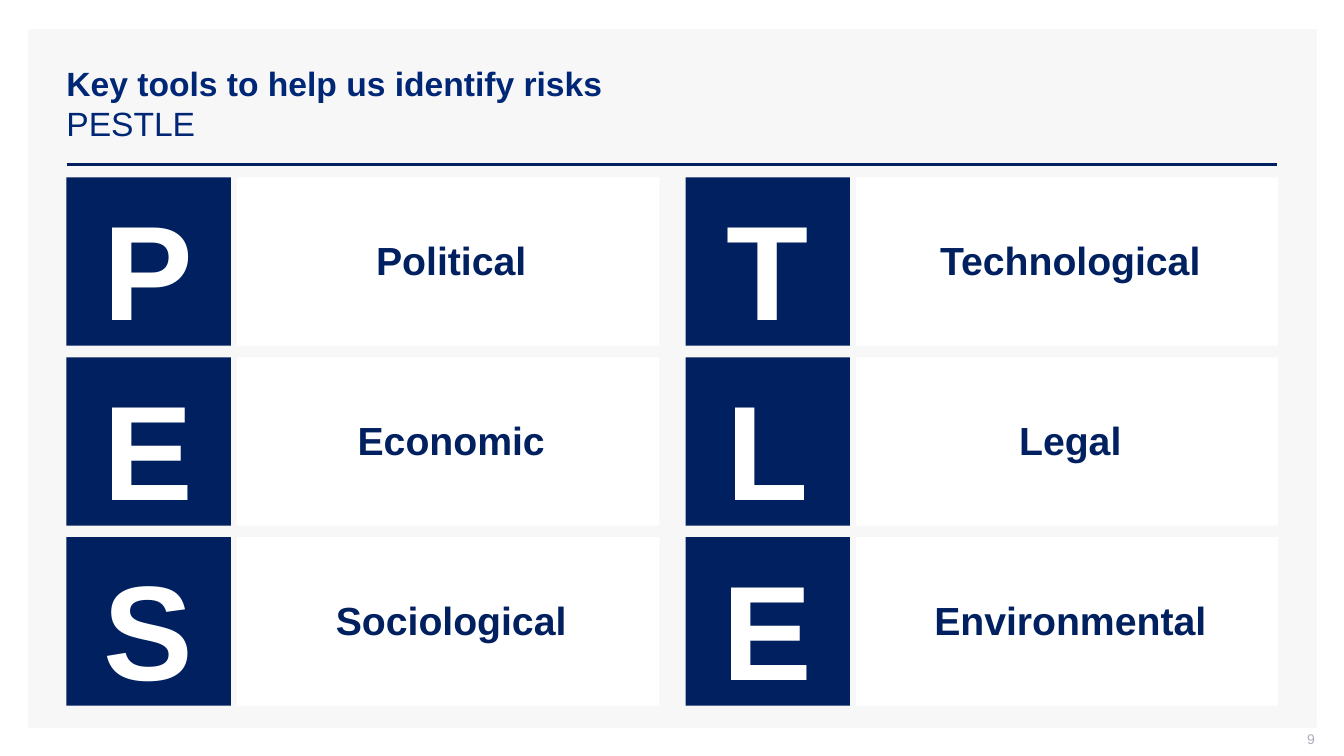
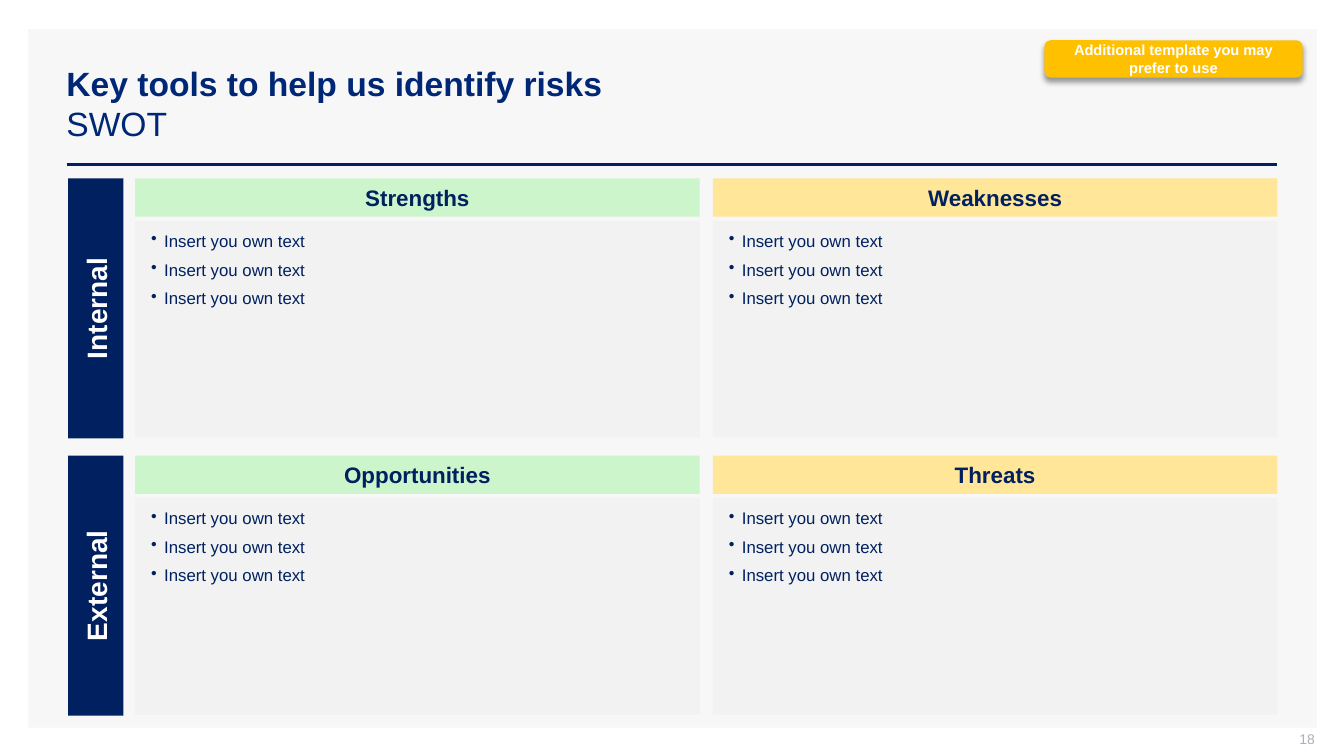
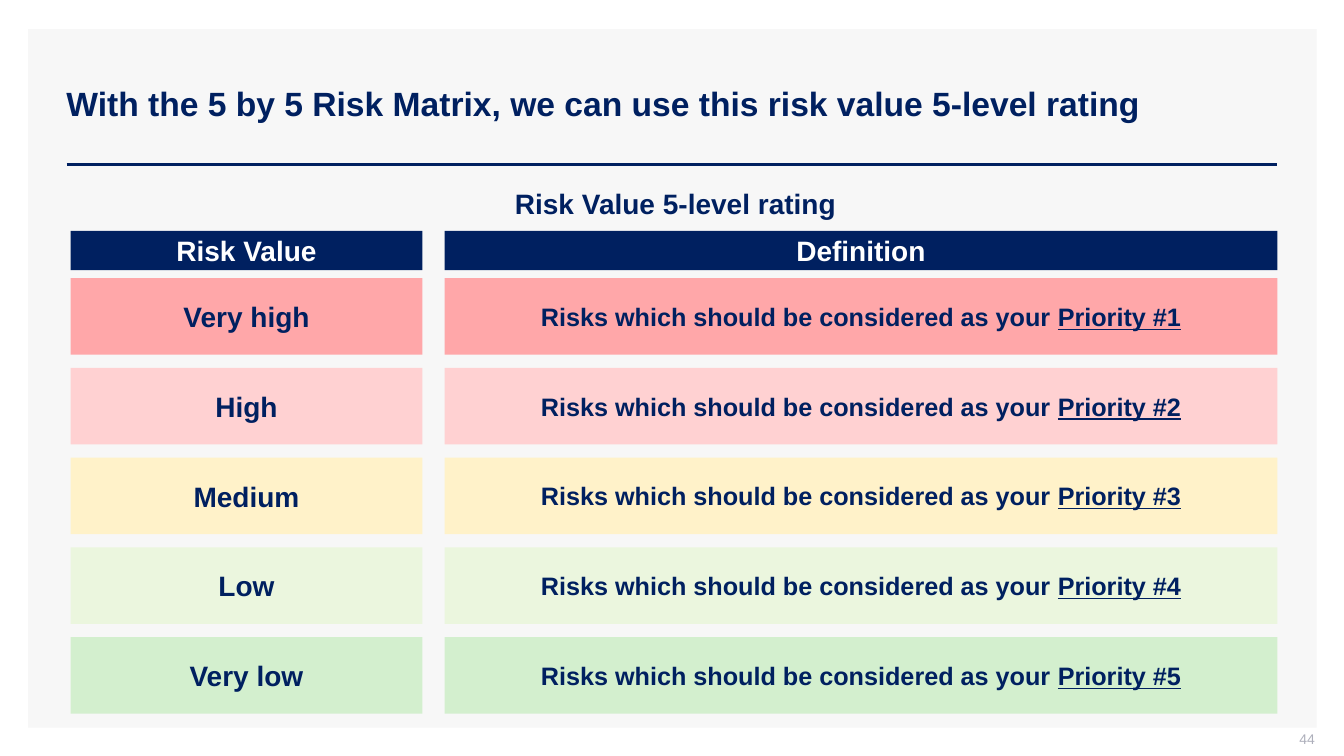
"""Build three risk identification slides: PESTLE, SWOT and a 5-level risk rating."""
from dataclasses import dataclass

from lxml import etree
from pptx import Presentation
from pptx.dml.color import RGBColor
from pptx.enum.shapes import MSO_CONNECTOR, MSO_SHAPE
from pptx.enum.text import MSO_ANCHOR, PP_ALIGN
from pptx.oxml.ns import qn
from pptx.util import Inches, Pt

RECTANGLE, ROUNDED = MSO_SHAPE.RECTANGLE, MSO_SHAPE.ROUNDED_RECTANGLE
STRAIGHT = MSO_CONNECTOR.STRAIGHT
TOP, MIDDLE = MSO_ANCHOR.TOP, MSO_ANCHOR.MIDDLE
LEFT, CENTER, RIGHT = PP_ALIGN.LEFT, PP_ALIGN.CENTER, PP_ALIGN.RIGHT


@dataclass(frozen=True)
class Theme:
    """Colours, type sizes and font of the deck."""
    font: str = "Arial"
    navy: str = "002060"
    blue: str = "002776"
    white: str = "FFFFFF"
    panel: str = "F7F7F7"
    body: str = "F2F2F2"
    amber: str = "FFC000"
    green: str = "CCF5CB"
    yellow: str = "FFE699"
    number: str = "ADAFBB"
    shadow: str = "000000"
    letter_size: float = 96
    label_size: float = 28
    title_size: float = 24
    heading_size: float = 20
    definition_size: float = 18
    quadrant_size: float = 16
    bullet_size: float = 12
    badge_size: float = 10.5
    number_size: float = 10


THEME = Theme()
TOOLS_TITLE = "Key tools to help us identify risks"
RATING_TITLE = "With the 5 by 5 Risk Matrix, we can use this risk value 5-level rating"

PESTLE = [
    ["Political", "Economic", "Sociological"],
    ["Technological", "Legal", "Environmental"],
]
SWOT = [
    ("Internal", ["Strengths", "Weaknesses"]),
    ("External", ["Opportunities", "Threats"]),
]
SWOT_BULLETS = ["Insert you own text"] * 3
BADGE = "Additional template you may prefer to use"
RATING_HEADING = "Risk Value 5-level rating"
RATING_COLUMNS = [("Risk Value", 0.7, 3.49), ("Definition", 4.41, 8.26)]
RATINGS = [
    ("Very high", "FFA7A9"),
    ("High", "FFD1D2"),
    ("Medium", "FFF2C9"),
    ("Low", "EBF6DE"),
    ("Very low", "D3EFCE"),
]


def spread(start, end, size, count):
    """Return the starts of equal parts with equal gaps between two edges."""
    gap = (end - start - count * size) / (count - 1)
    return [start + index * (size + gap) for index in range(count)]


def write(shape, paragraphs, size, color=THEME.navy, bold=True, align=CENTER,
          anchor=MIDDLE, insets=(0.1, 0.05, 0.1, 0.05), bullet=False):
    """Fill a shape with paragraphs, each a list of (text, font changes) runs."""
    frame = shape.text_frame
    frame.word_wrap = True
    frame.vertical_anchor = anchor
    for side, inset in zip(("left", "top", "right", "bottom"), insets):
        setattr(frame, f"margin_{side}", Inches(inset))
    for index, runs in enumerate(paragraphs):
        paragraph = frame.add_paragraph() if index else frame.paragraphs[0]
        paragraph.alignment = align
        if bullet:
            properties = paragraph._p.get_or_add_pPr()
            properties.set("marL", str(Inches(0.19)))
            properties.set("indent", str(Inches(-0.13)))
            etree.SubElement(properties, qn("a:buChar")).set("char", "•")
            paragraph.space_after = Pt(6)
        for text, changes in runs:
            if text == "\n":
                paragraph.add_line_break()
                continue
            run = paragraph.add_run()
            run.text = text
            values = {"name": THEME.font, "size": Pt(size), "bold": bold, **changes}
            for name, value in values.items():
                setattr(run.font, name, value)
            run.font.color.rgb = RGBColor.from_string(color)


def add_block(slide, box, fill, kind=RECTANGLE):
    """Add a filled shape without outline or shadow."""
    shape = slide.shapes.add_shape(kind, *map(Inches, box))
    shape.shadow.inherit = False
    shape.fill.solid()
    shape.fill.fore_color.rgb = RGBColor.from_string(fill)
    shape.line.fill.background()
    return shape


def add_label(slide, box, fill, text, size, **style):
    """Add a filled shape holding one line of text."""
    shape = add_block(slide, box, fill)
    write(shape, [[(text, {})]], size, **style)
    return shape


def add_text(slide, box, paragraphs, size, **style):
    """Add a text box."""
    write(slide.shapes.add_textbox(*map(Inches, box)), paragraphs, size, **style)


def add_badge(slide):
    """Add the rounded note with a soft shadow below it."""
    badge = add_block(slide, (10.36, 0.4, 2.56, 0.37), THEME.amber, ROUNDED)
    effects = badge._element.spPr.find(qn("a:effectLst"))
    shadow = etree.SubElement(effects, qn("a:outerShdw"), blurRad=str(Pt(4)),
                              dist=str(Pt(3)), dir="5400000", rotWithShape="0")
    color = etree.SubElement(shadow, qn("a:srgbClr"), val=THEME.shadow)
    etree.SubElement(color, qn("a:alpha"), val="40000")
    write(badge, [[(BADGE, {})]], THEME.badge_size, color=THEME.white)


def start_slide(presentation, number, title, subtitle=None, color=THEME.blue):
    """Add a slide with the shared panel, rule, title and page number."""
    slide = presentation.slides.add_slide(presentation.slide_layouts[6])
    add_block(slide, (0.28, 0.29, 12.78, 6.93), THEME.panel)
    rule = slide.shapes.add_connector(
        STRAIGHT, *map(Inches, (0.66, 1.63, 12.67, 1.63)))
    rule.line.color.rgb = RGBColor.from_string(THEME.navy)
    rule.line.width = Pt(2)
    etree.SubElement(rule._element.spPr, qn("a:effectLst"))
    runs = [(title, {})]
    if subtitle:
        runs += [("\n", {}), (subtitle, {"bold": False})]
    add_text(slide, (0.56, 0.43, 12.11, 1.19), [runs], THEME.title_size,
             color=color, align=LEFT)
    add_text(slide, (10.04, 7.25, 3, 0.21), [[(str(number), {})]],
             THEME.number_size, color=THEME.number, bold=False, align=RIGHT,
             insets=(0.1, 0, 0, 0.05))
    return slide


def build_pestle(presentation):
    """Show each PESTLE letter beside its word."""
    slide = start_slide(presentation, 9, TOOLS_TITLE, "PESTLE")
    height = 1.67
    tops = spread(1.76, 7, height, 3)
    for left, words in zip((0.66, 6.8), PESTLE):
        for top, word in zip(tops, words):
            add_label(slide, (left, top, 1.63, height), THEME.navy, word[0],
                      THEME.letter_size, color=THEME.white, insets=(0, 0.1, 0, 0))
            add_label(slide, (left + 1.69, top, 4.19, height), THEME.white, word,
                      THEME.label_size, insets=(0.06, 0, 0, 0.04))


def build_swot(presentation):
    """Show the SWOT quadrants beside their row bars."""
    slide = start_slide(presentation, 18, TOOLS_TITLE, "SWOT")
    add_badge(slide)
    height, thickness, bar_center = 2.58, 0.55, 0.95
    bullets = [[(text, {})] for text in SWOT_BULLETS]
    for top, (side, headings) in zip(spread(1.77, 7.1, height, 2), SWOT):
        bar_box = (bar_center - height / 2, top + (height - thickness) / 2,
                   height, thickness)
        bar = add_label(slide, bar_box, THEME.navy, side, THEME.heading_size,
                        color=THEME.white)
        bar.rotation = 270
        columns = zip((1.34, 7.07), headings, (THEME.green, THEME.yellow))
        for left, heading, fill in columns:
            add_label(slide, (left, top, 5.6, 0.38), fill, heading,
                      THEME.quadrant_size)
            body = add_block(slide, (left, top + 0.42, 5.6, 2.15), THEME.body)
            write(body, bullets, THEME.bullet_size, bold=False, align=LEFT,
                  anchor=TOP, insets=(0.1,) * 4, bullet=True)


def build_rating(presentation):
    """Show the five risk values with their definitions."""
    slide = start_slide(presentation, 44, RATING_TITLE, color=THEME.navy)
    add_text(slide, (3.6, 1.8, 6.2, 0.44), [[(RATING_HEADING, {})]],
             THEME.heading_size, anchor=TOP)
    for heading, left, width in RATING_COLUMNS:
        add_label(slide, (left, 2.29, width, 0.39), THEME.navy, heading,
                  THEME.heading_size, color=THEME.white)
    height = 0.76
    tops = spread(2.76, 7.08, height, len(RATINGS))
    for rank, (top, (value, fill)) in enumerate(zip(tops, RATINGS), 1):
        definition = [("Risks which should be considered as your ", {}),
                      (f"Priority #{rank}", {"underline": True})]
        cells = [([(value, {})], THEME.heading_size),
                 (definition, THEME.definition_size)]
        for (_, left, width), (runs, size) in zip(RATING_COLUMNS, cells):
            write(add_block(slide, (left, top, width, height), fill), [runs], size)


def main():
    """Build and save the presentation."""
    presentation = Presentation()
    presentation.slide_width = Inches(13.33)
    presentation.slide_height = Inches(7.5)
    build_pestle(presentation)
    build_swot(presentation)
    build_rating(presentation)
    presentation.save("out.pptx")


if __name__ == "__main__":
    main()
